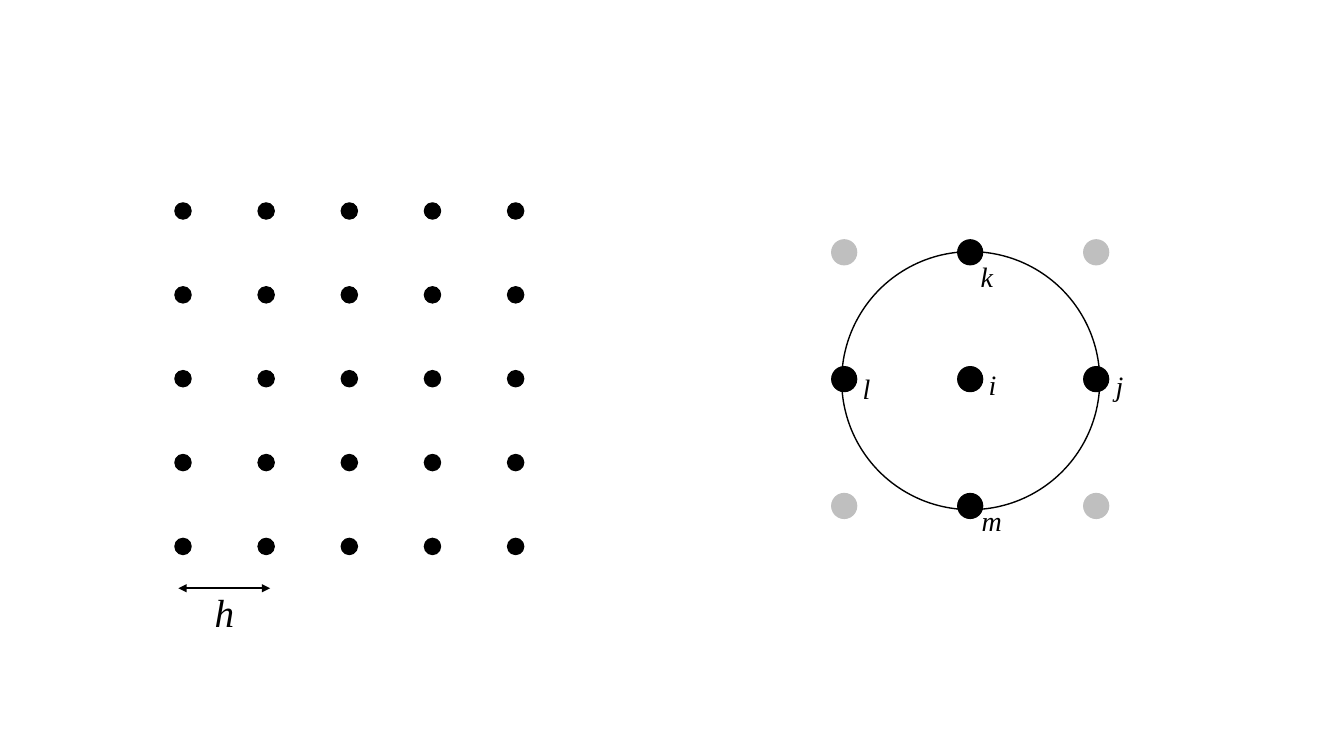
from dataclasses import dataclass

from lxml.etree import SubElement
from pptx import Presentation
from pptx.dml.color import RGBColor
from pptx.enum.shapes import MSO_CONNECTOR, MSO_SHAPE
from pptx.oxml.ns import qn
from pptx.util import Pt


@dataclass(frozen=True)
class Theme:
    black: RGBColor = RGBColor(0x00, 0x00, 0x00)
    gray: RGBColor = RGBColor(0xBF, 0xBF, 0xBF)
    font: str = "Times New Roman"
    spacing_size: int = 28
    node_size: int = 20


theme = Theme()


def add_circle(shapes, center_x, center_y, diameter, color, line_width=0.75, filled=True):
    shape = shapes.add_shape(
        MSO_SHAPE.OVAL, Pt(center_x - diameter / 2), Pt(center_y - diameter / 2),
        Pt(diameter), Pt(diameter))
    shape.shadow.inherit = False
    if filled:
        shape.fill.solid()
        shape.fill.fore_color.rgb = color
    else:
        shape.fill.background()
    shape.line.color.rgb = color
    shape.line.width = Pt(line_width)


def add_label(shapes, text, left, top, width, height, size):
    text_box = shapes.add_textbox(Pt(left), Pt(top), Pt(width), Pt(height))
    text_box.text_frame.word_wrap = True
    paragraph = text_box.text_frame.paragraphs[0]
    paragraph.text = text
    paragraph.font.name = theme.font
    paragraph.font.size = Pt(size)
    paragraph.font.italic = True
    paragraph.font.color.rgb = theme.black


presentation = Presentation()
presentation.slide_width = Pt(960)
presentation.slide_height = Pt(540)
slide = presentation.slides.add_slide(presentation.slide_layouts[6])

# Regular grid of points, one group per row
for row in range(5):
    grid_row = slide.shapes.add_group_shape()
    for column in range(5):
        add_circle(grid_row.shapes, 130.7 + 59.4 * column, 150.7 + 59.9 * row,
                   11.75, theme.black)

# Grid spacing arrow and its label
arrow = slide.shapes.add_connector(
    MSO_CONNECTOR.STRAIGHT, Pt(127.4), Pt(420.2), Pt(193), Pt(420.2))
arrow.line.color.rgb = theme.black
arrow.line.width = Pt(1.5)
line_element = arrow.line._get_or_add_ln()
for end in ("a:headEnd", "a:tailEnd"):
    SubElement(line_element, qn(end), type="triangle")
SubElement(arrow._element.spPr, qn("a:effectLst"))
add_label(slide.shapes, "h", 146.2, 417, 28.8, 41, theme.spacing_size)

# Neighbourhood of node i: corners are gray, the cross is black
stencil = slide.shapes.add_group_shape()
for row in range(3):
    for column in range(3):
        is_corner = row != 1 and column != 1
        add_circle(stencil.shapes, 603 + 90 * column, 180.2 + 90.6 * row, 18,
                   theme.gray if is_corner else theme.black)

# Support radius
add_circle(stencil.shapes, 693.4, 271.9, 184.3, theme.black, line_width=1, filled=False)

# Node names
node_labels = [
    ("i", 699.1, 259.2, 30.2),
    ("j", 789.8, 260, 30.2),
    ("k", 693.4, 181.5, 35.3),
    ("l", 609.1, 262.1, 30.2),
    ("m", 694.1, 356.4, 43.9),
]
for text, left, top, width in node_labels:
    add_label(stencil.shapes, text, left, top, width, 47.5, theme.node_size)

presentation.save("out.pptx")
